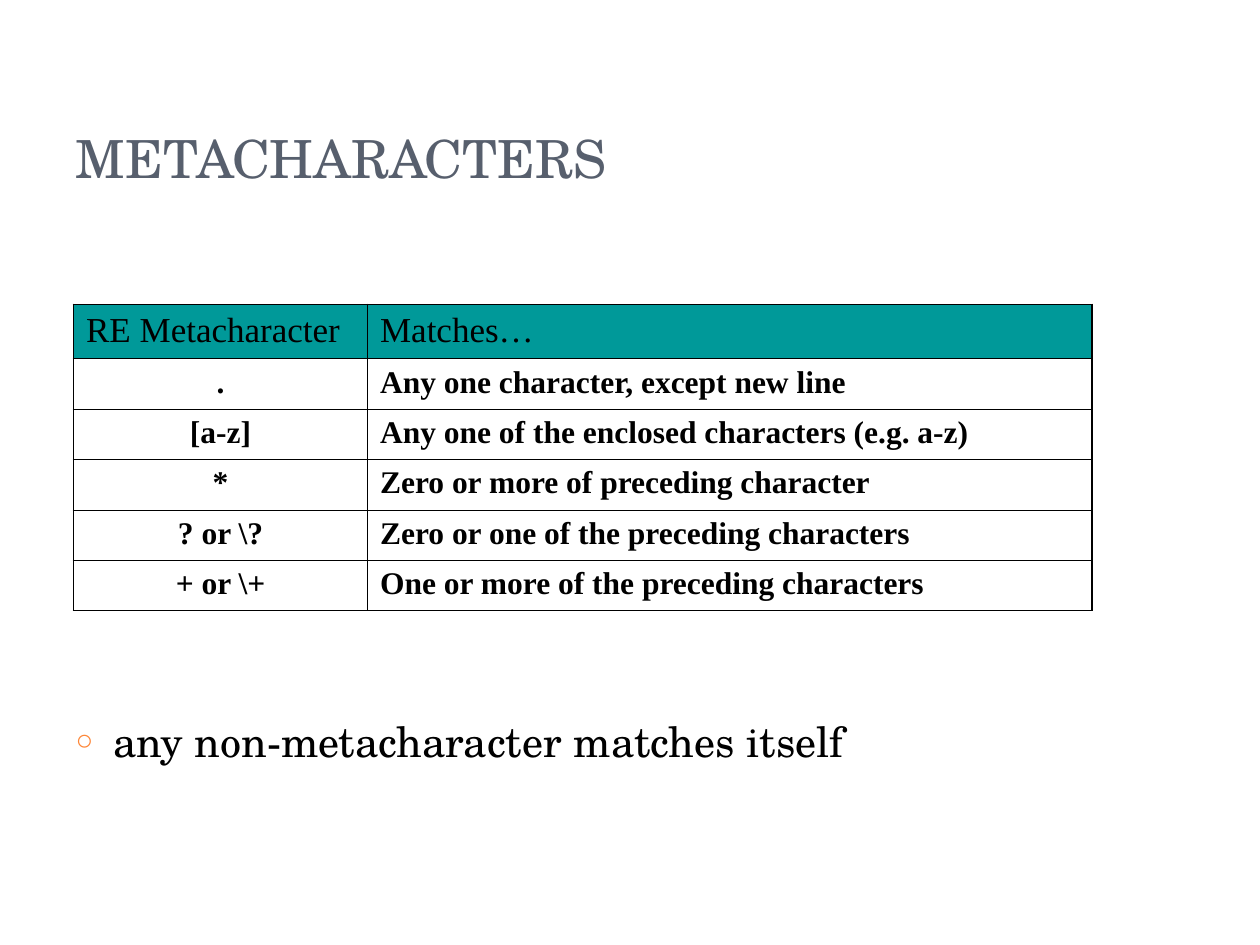
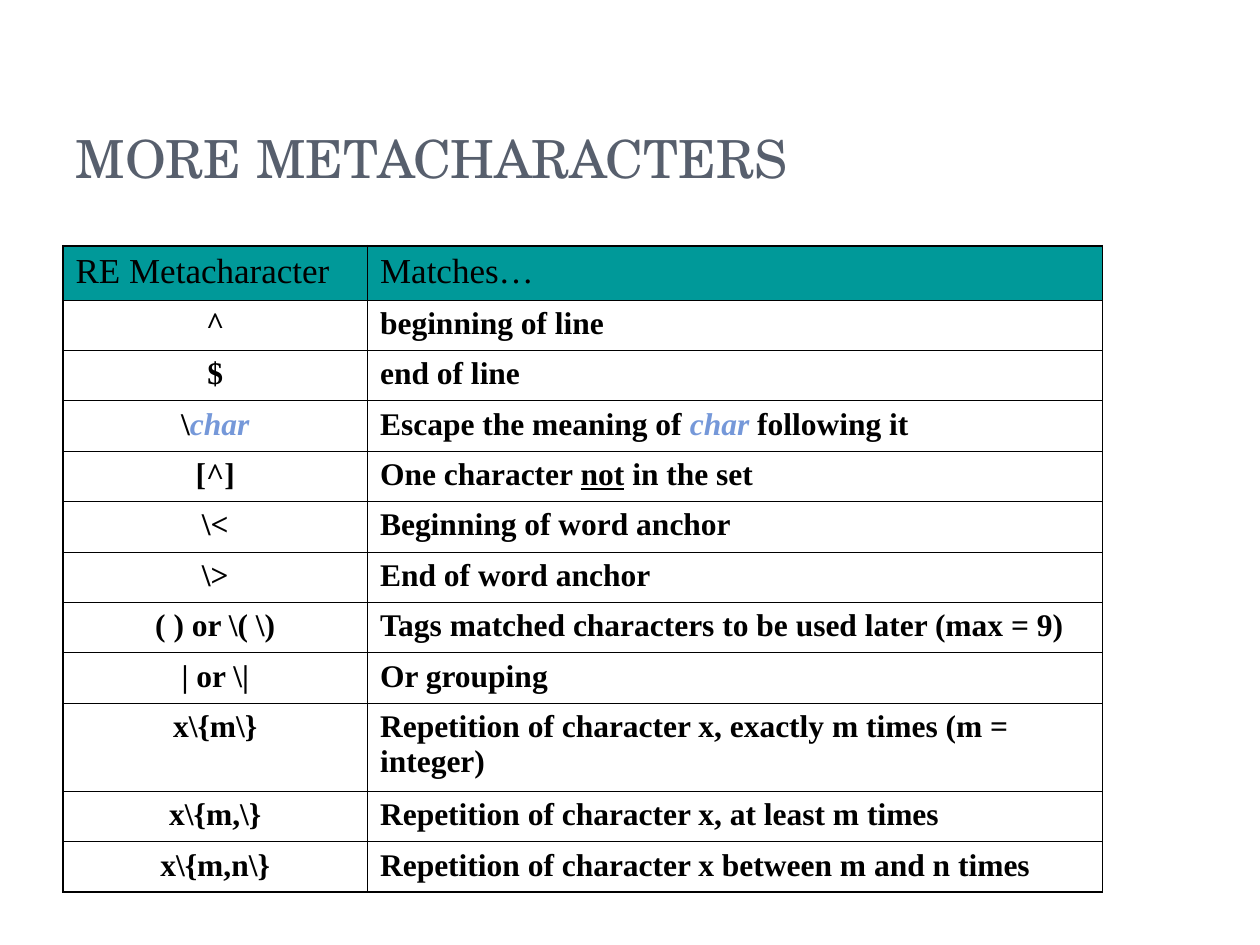
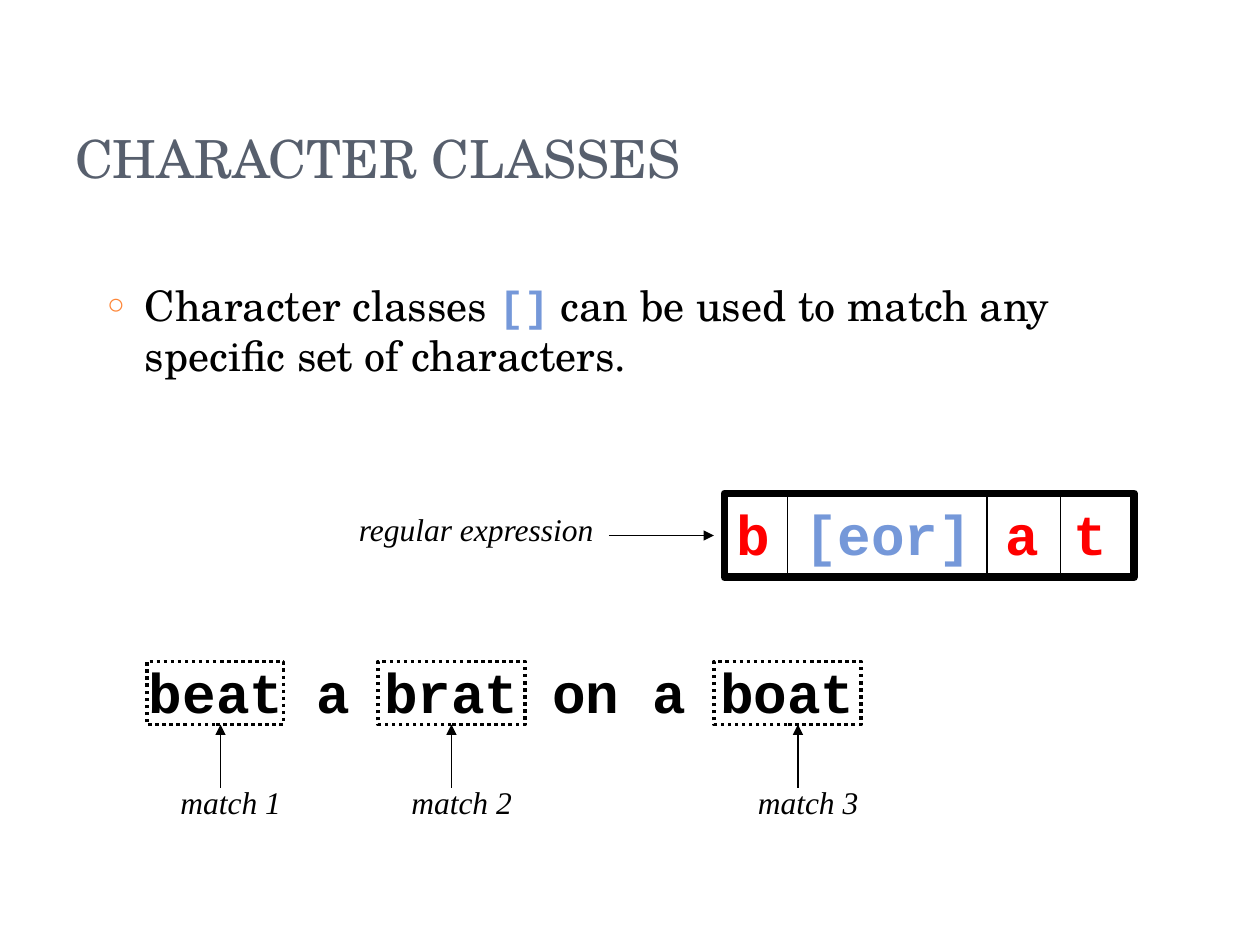
from lxml import etree
from pptx import Presentation
from pptx.dml.color import RGBColor
from pptx.enum.dml import MSO_LINE
from pptx.enum.shapes import MSO_CONNECTOR, MSO_SHAPE
from pptx.enum.text import MSO_ANCHOR, MSO_AUTO_SIZE, PP_ALIGN
from pptx.oxml.ns import qn
from pptx.util import Inches, Pt

RECT, STRAIGHT = MSO_SHAPE.RECTANGLE, MSO_CONNECTOR.STRAIGHT
DOTTED = MSO_LINE.ROUND_DOT
LEFT, CENTER = PP_ALIGN.LEFT, PP_ALIGN.CENTER
TOP, BOTTOM = MSO_ANCHOR.TOP, MSO_ANCHOR.BOTTOM
NO_FIT = MSO_AUTO_SIZE.NONE
BOTTOM_SITE = 2

# Grid: the slide is 120 columns by 90 rows
COLS, ROWS = 120, 90
SLIDE_W, SLIDE_H = Inches(10), Inches(7.5)

# Shared colours and text formats
BLACK, SLATE, TEAL = "000000", "575F6D", "009999"
ORANGE, BLUE, RED = "FE8637", "7598D9", "FF0000"
SERIF, TIMES, MONO = "TeX Gyre Schola", "Times New Roman", "Courier New"
TITLE = {"name": SERIF, "size": Pt(30), "color": SLATE}
BODY = {"name": SERIF, "size": Pt(24), "color": BLACK}
HEAD = {"name": TIMES, "size": Pt(20), "color": BLACK, "bold": False}
CELL = {"name": TIMES, "size": Pt(18), "color": BLACK, "bold": True}
LABEL = {"name": TIMES, "size": Pt(18), "color": BLACK, "italic": True}
CODE = {"name": MONO, "size": Pt(32), "color": BLACK, "bold": True}
CHAR = {"color": BLUE, "italic": True}

TABLE_HEAD = ("RE Metacharacter", "Matches…")
BASIC = [
    (".", "Any one character, except new line"),
    ("[a-z]", "Any one of the enclosed characters (e.g. a-z)"),
    ("*", "Zero or more of preceding character"),
    ("? or \\?", "Zero or one of the preceding characters"),
    ("+ or \\+", "One or more of the preceding characters"),
]
MORE = [
    ("^", "beginning of line"),
    ("$", "end of line"),
    ([("\\", {}), ("char", CHAR)],
     [("Escape the meaning of ", {}), ("char ", CHAR), ("following it", {})]),
    ("[^]", [("One character ", {}), ("not", {"underline": True}), (" in the set", {})]),
    ("\\<", "Beginning of word anchor"),
    ("\\>", "End of word anchor"),
    ("( ) or \\( \\)", "Tags matched characters to be used later (max = 9)"),
    ("| or \\|", "Or grouping"),
    ("x\\{m\\}", "Repetition of character x, exactly m times (m = integer)"),
    ("x\\{m,\\}", "Repetition of character x, at least m times"),
    ("x\\{m,n\\}", "Repetition of character x between m and n times"),
]


def rgb(value):
    return RGBColor.from_string(value)


def x(col):
    return int(SLIDE_W * col / COLS)


def y(row):
    return int(SLIDE_H * row / ROWS)


def area(col, row, cols, rows):
    return x(col), y(row), x(cols), y(rows)


def place(s, *cells):
    for name, value in zip(("left", "top", "width", "height"), area(*cells)):
        setattr(s, name, value)


# Text
def write(p, parts, fmt):
    """Add one string, or (string, format changes) pairs, to a paragraph."""
    for text, changes in [(parts, {})] if isinstance(parts, str) else parts:
        r = p.add_run()
        r.text = text
        for key, value in {**fmt, **changes}.items():
            if key == "color":
                r.font.color.rgb = rgb(value)
            else:
                setattr(r.font, key, value)


def fill_frame(s, parts, fmt, anchor=TOP, wrap=True):
    tf = s.text_frame
    tf.auto_size, tf.word_wrap, tf.vertical_anchor = NO_FIT, wrap, anchor
    p = tf.paragraphs[0]
    p.alignment, p.space_before = LEFT, Pt(0)
    write(p, parts, fmt)
    return p


def add_slide(prs, layout, title):
    slide = prs.slides.add_slide(prs.slide_layouts.get_by_name(layout))
    place(slide.shapes.title, 6, 3.6, 98, 15)
    fill_frame(slide.shapes.title, title, TITLE, BOTTOM)
    return slide


def set_bullet(slide, parts, *cells):
    body = slide.placeholders[1]
    place(body, *cells)
    p = fill_frame(body, parts, BODY)
    pPr = p._p.get_or_add_pPr()
    pPr.set("marL", str(Inches(0.3)))
    pPr.set("indent", str(-Inches(0.3)))
    color = etree.SubElement(pPr, qn("a:buClr"))
    etree.SubElement(color, qn("a:srgbClr"), val=ORANGE)
    etree.SubElement(pPr, qn("a:buSzPct"), val="70000")
    etree.SubElement(pPr, qn("a:buChar"), char="○")


def add_text(slide, parts, fmt, *cells, wrap=True):
    fill_frame(slide.shapes.add_textbox(*area(*cells)), parts, fmt, wrap=wrap)


# Table
def set_borders(cell, widths):
    tcPr = cell._tc.get_or_add_tcPr()
    for side, width in zip("LRTB", widths):
        ln = etree.SubElement(tcPr, qn("a:ln" + side), w=str(Pt(width)))
        fill = etree.SubElement(ln, qn("a:solidFill"))
        etree.SubElement(fill, qn("a:srgbClr"), val=BLACK)


def add_matches_table(slide, rows, col, row, widths, tall_row=None):
    data = [TABLE_HEAD] + rows
    heights = [Inches(0.43)] + [Inches(0.4)] * len(rows)
    if tall_row:
        heights[tall_row] = Inches(0.7)
    frame = slide.shapes.add_table(len(data), 2, x(col), y(row), x(sum(widths)), sum(heights))
    table = frame.table
    table.first_row = table.horz_banding = False
    for column, width in zip(table.columns, widths):
        column.width = x(width)
    outer, inner = 1.08, 0.45
    for i, values in enumerate(data):
        table.rows[i].height = heights[i]
        for j, value in enumerate(values):
            cell = table.cell(i, j)
            edges = (j == 0, j == 1, i == 0, i == len(rows))
            set_borders(cell, [outer if edge else inner for edge in edges])
            if i == 0:
                cell.fill.solid()
                cell.fill.fore_color.rgb = rgb(TEAL)
            else:
                cell.fill.background()
            p = cell.text_frame.paragraphs[0]
            p.alignment = CENTER if i and j == 0 else LEFT
            write(p, value, CELL if i else HEAD)


# Outlines and lines
def add_outline(slide, width, *cells, dash=None):
    s = slide.shapes.add_shape(RECT, *area(*cells))
    s.shadow.inherit = False
    s.fill.background()
    s.line.color.rgb = rgb(BLACK)
    s.line.width = Pt(width)
    if dash:
        s.line.dash_style = dash
    return s


def add_line(slide, x1, y1, x2, y2, arrow=False):
    s = slide.shapes.add_connector(STRAIGHT, x(x1), y(y1), x(x2), y(y2))
    s.line.color.rgb = rgb(BLACK)
    s.line.width = Pt(0.75)
    if arrow:
        etree.SubElement(s.line._get_or_add_ln(), qn("a:tailEnd"), type="triangle")
    etree.SubElement(s._element.spPr, qn("a:effectLst"))
    return s


def add_match(slide, number, col, cols, arrow_col):
    """Dotted frame round a matched word, with an arrow from its label."""
    frame = add_outline(slide, 2, col, 63, cols, 6, dash=DOTTED)
    arrow = add_line(slide, arrow_col, 75, arrow_col, 69, arrow=True)
    if arrow_col == col + cols / 2:
        arrow.end_connect(frame, BOTTOM_SITE)
    add_text(slide, f"match {number}", LABEL, arrow_col - 5, 74, 12, 4.8, wrap=False)


# Slides
def build_metacharacters(prs):
    slide = add_slide(prs, "Title and Content", "METACHARACTERS")
    set_bullet(slide, "any non-metacharacter matches itself", 6, 67.5, 98, 17.5)
    add_matches_table(slide, BASIC, 7, 29, (28, 69))


def build_more_metacharacters(prs):
    slide = add_slide(prs, "Title Only", "MORE METACHARACTERS")
    add_matches_table(slide, MORE, 6, 23.4, (29, 70), tall_row=9)


def build_character_classes(prs):
    slide = add_slide(prs, "Title and Content", "CHARACTER CLASSES")
    set_bullet(slide, [("Character classes ", {}),
                       ("[]", {"name": MONO, "color": BLUE, "bold": True}),
                       (" can be used to match any specific set of characters.", {})],
               9, 26, 102, 14)

    # Regular expression and its parts
    add_text(slide, "regular expression", LABEL, 33, 48, 25, 4.8, wrap=False)
    add_line(slide, 58, 51, 68, 51, arrow=True)
    add_outline(slide, 4.5, 69, 47, 39, 8)
    add_text(slide, [("b ", {}), ("[eor]", {"color": BLUE}), (" a t", {})],
             {**CODE, "color": RED}, 69, 47, 42, 7.7)
    for col in (75, 94, 101):
        add_line(slide, col, 47, col, 55)

    # Sample sentence and its matches
    add_text(slide, "beat a brat on a boat", CODE, 13, 62, 81, 7.7)
    matches = [(14, 13, 21), (36, 14, 43), (68, 14, 76)]
    for number, cells in enumerate(matches, 1):
        add_match(slide, number, *cells)


def main():
    prs = Presentation()
    prs.slide_width, prs.slide_height = SLIDE_W, SLIDE_H
    build_metacharacters(prs)
    build_more_metacharacters(prs)
    build_character_classes(prs)
    prs.save("out.pptx")


if __name__ == "__main__":
    main()
